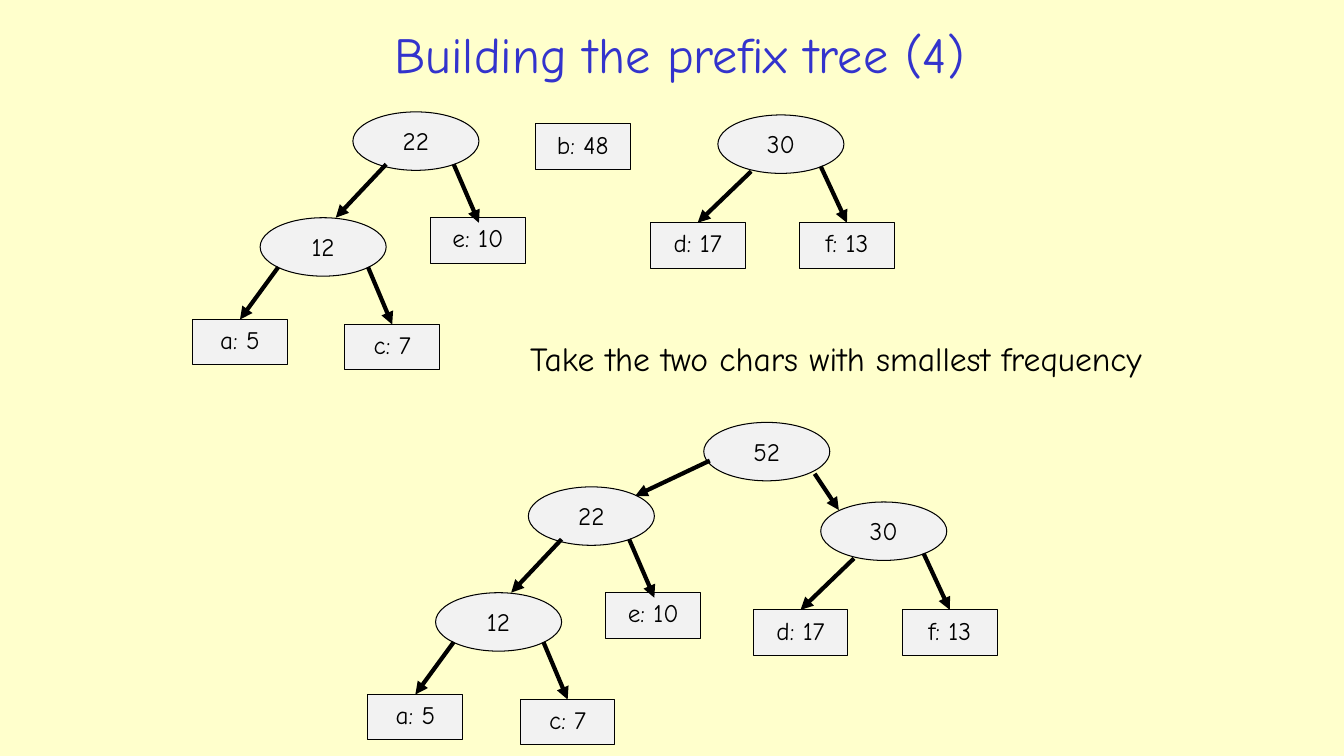
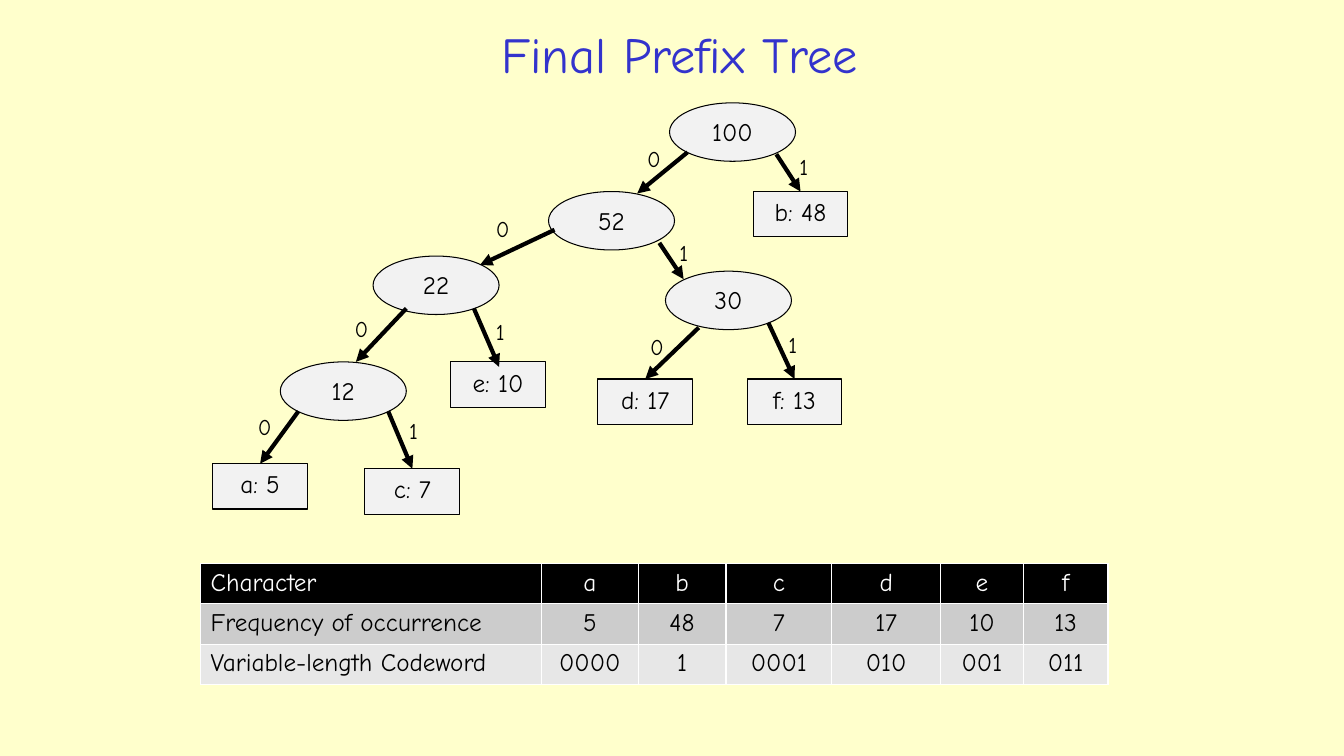
from dataclasses import dataclass
from typing import NamedTuple, Optional

from lxml.etree import SubElement
from pptx import Presentation
from pptx.dml.color import RGBColor
from pptx.enum.shapes import MSO_CONNECTOR, MSO_SHAPE
from pptx.enum.text import MSO_ANCHOR, MSO_AUTO_SIZE, PP_ALIGN
from pptx.oxml.ns import qn
from pptx.shapes.autoshape import Shape
from pptx.slide import Slide
from pptx.table import _Cell
from pptx.text.text import TextFrame
from pptx.util import Emu, Pt

EMU_PER_PX = 9144
FONT = "Comic Neue"
COLORS = {
    "background": "FFFFCC",
    "title": "3333CC",
    "ink": "000000",
    "node": "F2F2F2",
    "white": "FFFFFF",
    "frequency_row": "CCCCCC",
    "codeword_row": "E7E7E7",
}


class Point(NamedTuple):
    x: int
    y: int

    def shifted(self, offset: "Point") -> "Point":
        return Point(self.x + offset.x, self.y + offset.y)


class Size(NamedTuple):
    width: int
    height: int


OVAL_SIZE = Size(125, 58)
LEAF_SIZE = Size(94, 45)
BIT_SIZES = {"0": Size(34, 37), "1": Size(30, 37)}


@dataclass(frozen=True)
class Branch:
    child: "Node"
    offset: Point
    arrow_start: Point
    arrow_end: Optional[Point]
    bit_offset: Point


@dataclass(frozen=True)
class Node:
    label: str
    branches: tuple[Branch, ...] = ()


@dataclass(frozen=True)
class TableRow:
    texts: tuple[str, ...]
    fill: str
    ink: str


TREE_12 = Node("12", (
    Branch(Node("a: 5"), Point(-67, 101), Point(18, 49), None, Point(-32, 46)),
    Branch(Node("c: 7"), Point(84, 106), Point(107, 49), None, Point(118, 50)),
))
TREE_22 = Node("22", (
    Branch(TREE_12, Point(-92, 105), Point(33, 52), Point(-17, 105), Point(-28, 54)),
    Branch(Node("e: 10"), Point(77, 105), Point(100, 52), Point(125, 110), Point(112, 57)),
))
TREE_30 = Node("30", (
    Branch(Node("d: 17"), Point(-67, 107), Point(33, 56), None, Point(-25, 57)),
    Branch(Node("f: 13"), Point(81, 107), Point(102, 51), None, Point(112, 55)),
))
TREE_52 = Node("52", (
    Branch(TREE_22, Point(-174, 64), Point(6, 38), Point(-68, 73), Point(-62, 19)),
    Branch(TREE_30, Point(116, 79), Point(110, 51), Point(134, 87), Point(120, 42)),
))
LEAF_B = Node("b: 48")
TREE_100 = Node("100", (
    Branch(TREE_52, Point(-120, 88), Point(18, 49), Point(-32, 90), Point(-32, 37)),
    Branch(LEAF_B, Point(83, 88), Point(106, 51), None, Point(119, 45)),
))

CODE_COLUMNS = (338, 96, 87, 105, 108, 82, 84)
CODE_ROW_HEIGHT = 40
CODE_ROWS = (
    TableRow(("Character", "a", "b", "c", "d", "e", "f"), "ink", "white"),
    TableRow(("Frequency of occurrence", "5", "48", "7", "17", "10", "13"),
             "frequency_row", "ink"),
    TableRow(("Variable-length Codeword", "0000", "1", "0001", "010", "001", "011"),
             "codeword_row", "ink"),
)


def px(length: int) -> Emu:
    return Emu(length * EMU_PER_PX)


def box(at: Point, size: Size) -> tuple[Emu, ...]:
    return tuple(px(length) for length in (*at, *size))


def color(name: str) -> RGBColor:
    return RGBColor.from_string(COLORS[name])


def write(text_frame: TextFrame, text: str, points: int, ink: str = "ink",
          align: PP_ALIGN = PP_ALIGN.LEFT) -> None:
    text_frame.text = text
    for paragraph in text_frame.paragraphs:
        paragraph.alignment = align
        for run in paragraph.runs:
            run.font.name = FONT
            run.font.size = Pt(points)
            run.font.bold = False
            run.font.color.rgb = color(ink)


def add_text(slide: Slide, text: str, at: Point, size: Size, points: int,
             wrap: bool) -> None:
    text_frame = slide.shapes.add_textbox(*box(at, size)).text_frame
    text_frame.word_wrap = wrap
    text_frame.auto_size = MSO_AUTO_SIZE.SHAPE_TO_FIT_TEXT
    write(text_frame, text, points)


def add_titled_slide(presentation: Presentation, title: str) -> Slide:
    slide = presentation.slides.add_slide(presentation.slide_layouts[6])
    slide.background.fill.solid()
    slide.background.fill.fore_color.rgb = color("background")
    text_frame = slide.shapes.add_textbox(*box(Point(197, 15), Size(954, 76))).text_frame
    text_frame.word_wrap = True
    text_frame.vertical_anchor = MSO_ANCHOR.MIDDLE
    write(text_frame, title, 36, "title", PP_ALIGN.CENTER)
    return slide


def add_arrow(slide: Slide, start: Point, end: Point, target: Optional[Shape]) -> None:
    arrow = slide.shapes.add_connector(
        MSO_CONNECTOR.STRAIGHT, *(px(length) for length in (*start, *end)))
    if target is not None:
        arrow.end_connect(target, 0)
    arrow.line.color.rgb = color("ink")
    arrow.line.width = Pt(3)
    SubElement(arrow.line._get_or_add_ln(), qn("a:tailEnd"), type="triangle")
    SubElement(arrow._element.spPr, qn("a:effectLst"))


def add_node(slide: Slide, node: Node, at: Point) -> Shape:
    preset, size = ((MSO_SHAPE.OVAL, OVAL_SIZE) if node.branches
                    else (MSO_SHAPE.RECTANGLE, LEAF_SIZE))
    shape = slide.shapes.add_shape(preset, *box(at, size))
    shape.shadow.inherit = False
    shape.fill.solid()
    shape.fill.fore_color.rgb = color("node")
    shape.line.color.rgb = color("ink")
    shape.line.width = Pt(0.75)
    shape.text_frame.vertical_anchor = MSO_ANCHOR.TOP
    write(shape.text_frame, node.label, 18, align=PP_ALIGN.CENTER)
    return shape


def add_tree(slide: Slide, node: Node, at: Point, show_bits: bool = False) -> Shape:
    children = [add_tree(slide, branch.child, at.shifted(branch.offset), show_bits)
                for branch in node.branches]
    shape = add_node(slide, node, at)
    for bit, branch, child in zip("01", node.branches, children):
        start = at.shifted(branch.arrow_start)
        if branch.arrow_end is None:
            add_arrow(slide, start, at.shifted(branch.offset), child)
        else:
            add_arrow(slide, start, at.shifted(branch.arrow_end), None)
        if show_bits:
            add_text(slide, bit, at.shifted(branch.bit_offset), BIT_SIZES[bit], 16,
                     wrap=bit == "0")
    return shape


def add_border(cell: _Cell, side: str, points: int) -> None:
    line = SubElement(cell._tc.get_or_add_tcPr(), qn(f"a:ln{side}"), w=str(Pt(points)))
    fill = SubElement(line, qn("a:solidFill"))
    SubElement(fill, qn("a:srgbClr"), val=COLORS["white"])


def add_code_table(slide: Slide, at: Point) -> None:
    size = Size(sum(CODE_COLUMNS), CODE_ROW_HEIGHT * len(CODE_ROWS))
    table = slide.shapes.add_table(
        len(CODE_ROWS), len(CODE_COLUMNS), *box(at, size)).table
    table.first_row = False
    table.horz_banding = False
    for column, width in zip(table.columns, CODE_COLUMNS):
        column.width = px(width)
    for row_index, row in enumerate(CODE_ROWS):
        table.rows[row_index].height = px(CODE_ROW_HEIGHT)
        for column_index, text in enumerate(row.texts):
            cell = table.cell(row_index, column_index)
            for side in "LRTB":
                add_border(cell, side, 1)
            cell.fill.solid()
            cell.fill.fore_color.rgb = color(row.fill)
            align = PP_ALIGN.CENTER if column_index else PP_ALIGN.LEFT
            write(cell.text_frame, text, 18, row.ink, align)


def build_merge_slide(presentation: Presentation) -> None:
    slide = add_titled_slide(presentation, "Building the prefix tree (4)")
    add_tree(slide, LEAF_B, Point(531, 123))
    add_text(slide, "Take the two chars with smallest frequency",
             Point(516, 330), Size(708, 50), 24, wrap=False)
    add_tree(slide, TREE_22, Point(350, 111))
    add_tree(slide, TREE_30, Point(712, 114))
    add_tree(slide, TREE_52, Point(698, 419))


def build_final_slide(presentation: Presentation) -> None:
    slide = add_titled_slide(presentation, "Final Prefix Tree")
    add_tree(slide, TREE_100, Point(664, 102), show_bits=True)
    add_code_table(slide, Point(199, 559))


def main() -> None:
    presentation = Presentation()
    presentation.slide_width = px(1333)
    presentation.slide_height = px(750)
    build_merge_slide(presentation)
    build_final_slide(presentation)
    presentation.save("out.pptx")


if __name__ == "__main__":
    main()
